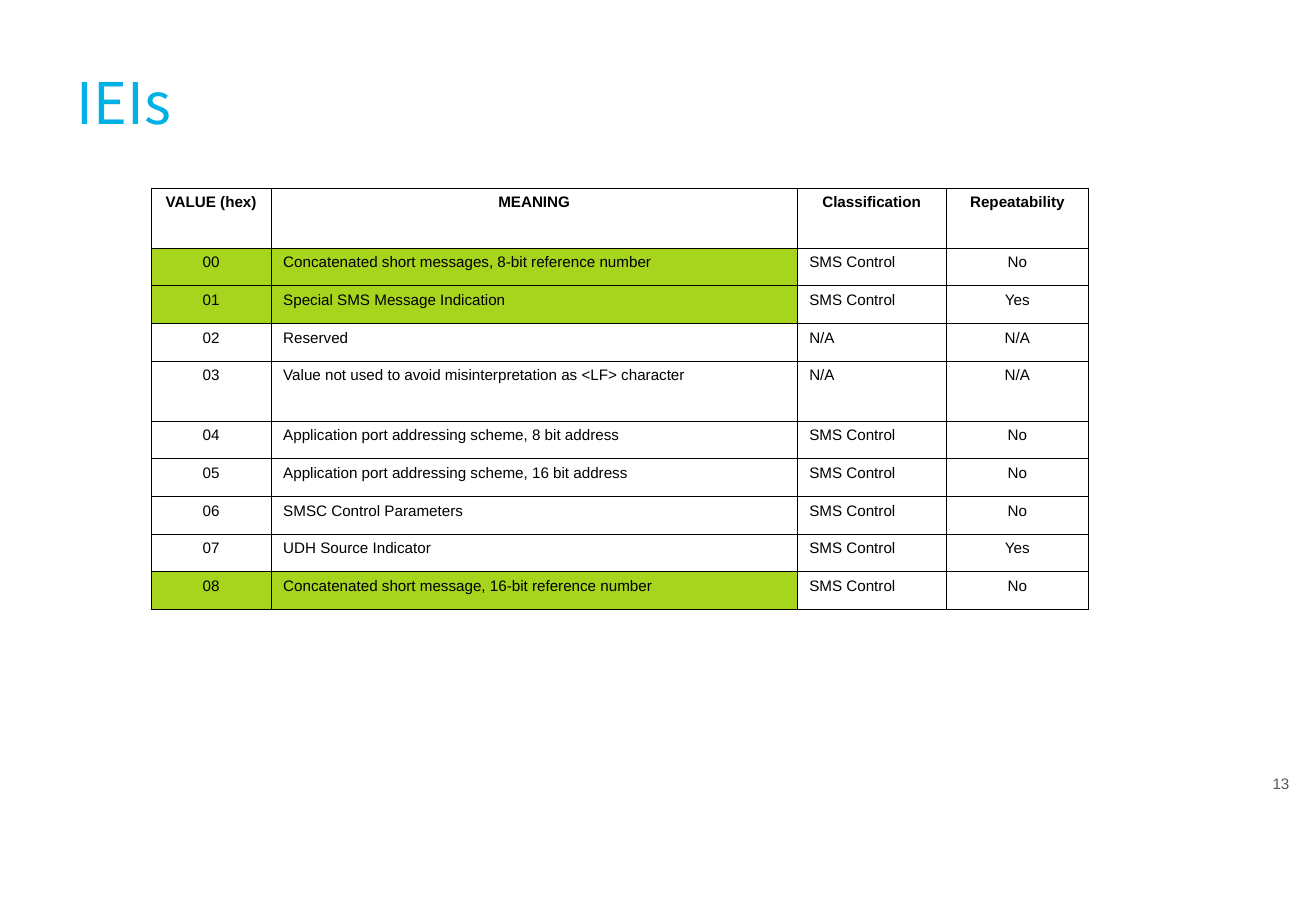
from dataclasses import dataclass

from lxml.etree import SubElement
from pptx import Presentation
from pptx.dml.color import RGBColor
from pptx.enum.text import PP_ALIGN
from pptx.oxml.ns import qn
from pptx.util import Pt


@dataclass(frozen=True)
class Theme:
    blue: str = "00B1E6"
    green: str = "A7D41C"
    black: str = "000000"
    gray: str = "595959"
    face: str = "Arial"
    head: str = "Noto Sans CJK SC"
    big: float = 34
    small: float = 9
    line: float = 0.45


THEME = Theme()
LEFT, MID, RIGHT = PP_ALIGN.LEFT, PP_ALIGN.CENTER, PP_ALIGN.RIGHT

# Table content
HEADS = ("VALUE (hex)", "MEANING", "Classification", "Repeatability")
ROWS = (
    ("00", "Concatenated short messages, 8-bit reference number", "SMS Control", "No"),
    ("01", "Special SMS Message Indication", "SMS Control", "Yes"),
    ("02", "Reserved", "N/A", "N/A"),
    ("03", "Value not used to avoid misinterpretation as <LF> character", "N/A", "N/A"),
    ("04", "Application port addressing scheme, 8 bit address", "SMS Control", "No"),
    ("05", "Application port addressing scheme, 16 bit address", "SMS Control", "No"),
    ("06", "SMSC Control Parameters", "SMS Control", "No"),
    ("07", "UDH Source Indicator", "SMS Control", "Yes"),
    ("08", "Concatenated short message, 16-bit reference number", "SMS Control", "No"),
)
MARKED = {"00", "01", "08"}
TALL = {"VALUE (hex)", "03"}
WIDTHS = (71.2, 312, 88.4, 84.4)
ALIGNS = (MID, LEFT, LEFT, MID)
HIGH, LOW = 35.65, 22.32


def write(frame, text, size, color, face, align=LEFT, bold=False):
    para = frame.paragraphs[0]
    para.text = text
    para.alignment = align
    font = para.font
    font.size, font.name, font.bold = Pt(size), face, bold
    font.color.rgb = RGBColor.from_string(color)
    return para


def add_text(slide, box, *style):
    frame = slide.shapes.add_textbox(*map(Pt, box)).text_frame
    frame.word_wrap = True
    return write(frame, *style)


def add_edges(cell):
    props = cell._tc.get_or_add_tcPr()
    for side in ("a:lnL", "a:lnR", "a:lnT", "a:lnB"):
        edge = SubElement(props, qn(side), w=str(Pt(THEME.line)))
        fill = SubElement(edge, qn("a:solidFill"))
        SubElement(fill, qn("a:srgbClr"), val=THEME.black)


def fill_cell(cell, text, align, bold, marked):
    write(cell.text_frame, text, THEME.small, THEME.black, THEME.face, align, bold)
    add_edges(cell)
    if marked:
        cell.fill.solid()
        cell.fill.fore_color.rgb = RGBColor.from_string(THEME.green)
    else:
        cell.fill.background()


def add_grid(slide, left, top):
    lines = (HEADS, *ROWS)
    sizes = [HIGH if line[0] in TALL else LOW for line in lines]
    box = map(Pt, (left, top, sum(WIDTHS), sum(sizes)))
    table = slide.shapes.add_table(len(lines), len(HEADS), *box).table
    table.first_row = table.horz_banding = False
    for col, width in zip(table.columns, WIDTHS):
        col.width = Pt(width)
    for r, (line, size) in enumerate(zip(lines, sizes)):
        table.rows[r].height = Pt(size)
        for c, text in enumerate(line):
            align = ALIGNS[c] if r else MID
            marked = line[0] in MARKED and c < 2
            fill_cell(table.cell(r, c), text, align, r == 0, marked)


def main():
    deck = Presentation()
    deck.slide_width, deck.slide_height = Pt(780.48), Pt(540)
    slide = deck.slides.add_slide(deck.slide_layouts[6])

    # Page number
    add_text(slide, (716.4, 455.3, 55.4, 17.6),
             "13", THEME.small, THEME.gray, THEME.face, RIGHT)

    # Title
    title = add_text(slide, (38.5, 43.2, 685.4, 41.2),
                     "IEIs", THEME.big, THEME.blue, THEME.head)
    title.line_spacing = Pt(THEME.big)

    # Table of identifiers
    add_grid(slide, 89.6, 111.4)

    deck.save("out.pptx")


if __name__ == "__main__":
    main()
